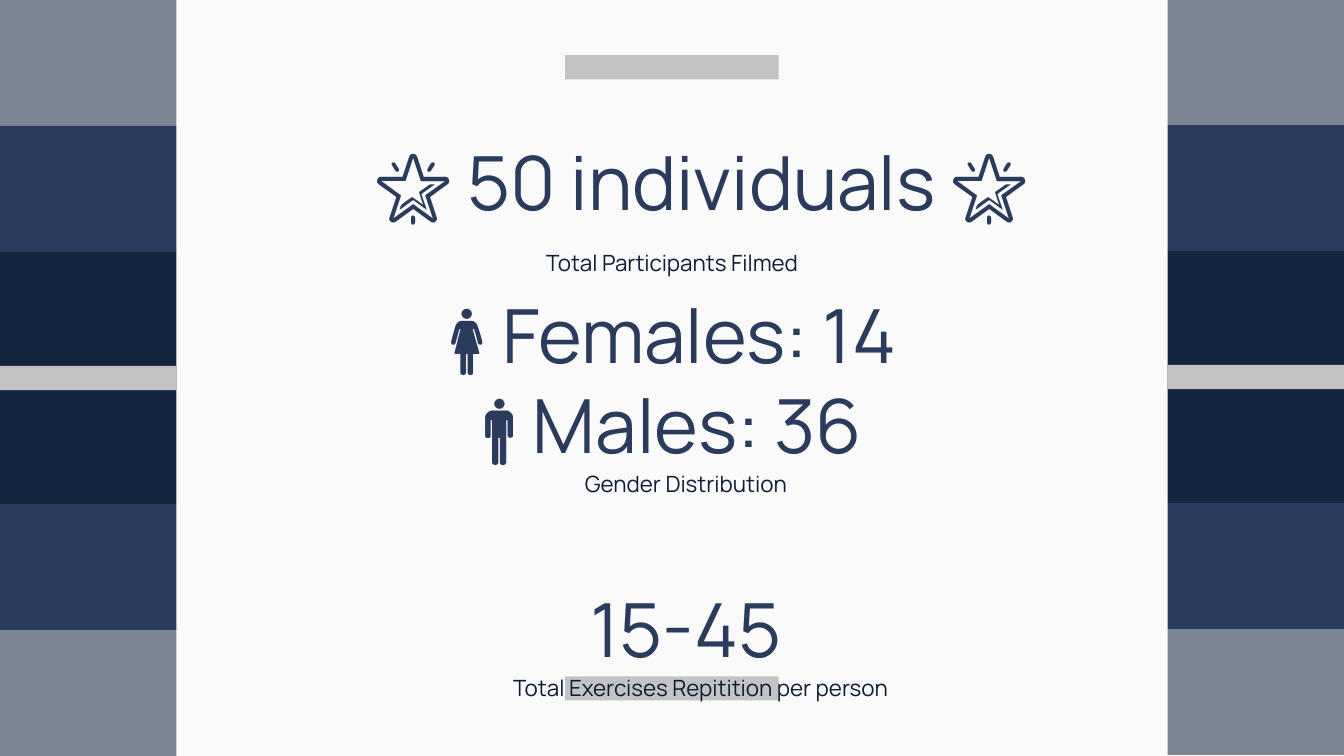
"""Build a slide of participant statistics framed by striped side panels."""
from pptx import Presentation
from pptx.dml.color import RGBColor
from pptx.enum.shapes import MSO_SHAPE
from pptx.enum.text import MSO_ANCHOR, PP_ALIGN
from pptx.util import Pt

COLORS = {"bg": "FAFAFA", "silver": "C3C3C3", "blue": "2B3B5D",
          "navy": "15253F", "slate": "7C8594", "ink": "0E1D35"}
WIDTH, HEIGHT = 720, 405
BANDS = ["slate", "blue", "navy", "navy", "blue", "slate"]
PANEL_W, BAR_W, BAR_H = 94.5, 114.4, 13
PANELS = [(0, 0), (WIDTH - PANEL_W, -0.5)]
BAR_TOPS = [29.6, 362.3]
FIGURES = [
    (["🚺 Females: 14", "🚹 Males: 36"], (206, 142, 308, 116)),
    (["🌟 50 individuals 🌟"], (145.4, 67.7, 460.8, 60.5)),
    (["15-45"], (266.4, 306.7, 202.3, 60.5)),
]
CAPTIONS = [
    (["Gender Distribution"], (266.4, 244.8, 202.3, 26)),
    (["Total Participants Filmed"], (259, 126, 202.3, 26)),
    (["Total Exercises Repitition per person"], (204.5, 354.2, 342, 26)),
]


def rgb(name):
    return RGBColor.from_string(COLORS[name])


def add_rect(shapes, color, x, y, w, h):
    sp = shapes.add_shape(MSO_SHAPE.RECTANGLE, Pt(x), Pt(y), Pt(w), Pt(h))
    sp.shadow.inherit = False
    sp.fill.solid()
    sp.fill.fore_color.rgb = rgb(color)
    sp.line.fill.background()


def add_text(shapes, lines, box, size, color, anchor):
    tf = shapes.add_textbox(*map(Pt, box)).text_frame
    tf.word_wrap = True
    tf.vertical_anchor = anchor
    tf.margin_left = tf.margin_right = tf.margin_top = tf.margin_bottom = Pt(7.2)
    for i, line in enumerate(lines):
        p = tf.add_paragraph() if i else tf.paragraphs[0]
        p.text = line
        p.alignment = PP_ALIGN.CENTER
        p.font.name = "Manrope"
        p.font.size = Pt(size)
        p.font.color.rgb = rgb(color)
        if len(lines) > 1:
            p.line_spacing = Pt(48.2)


def main():
    prs = Presentation()
    prs.slide_width, prs.slide_height = Pt(WIDTH), Pt(HEIGHT)
    s = prs.slides.add_slide(prs.slide_layouts[6])
    s.background.fill.solid()
    s.background.fill.fore_color.rgb = rgb("bg")

    for y in BAR_TOPS:
        add_rect(s.shapes, "silver", (WIDTH - BAR_W) / 2, y, BAR_W, BAR_H)
    for lines, box in FIGURES:
        add_text(s.shapes, lines, box, 40, "blue", MSO_ANCHOR.BOTTOM)
    for lines, box in CAPTIONS:
        add_text(s.shapes, lines, box, 12, "ink", MSO_ANCHOR.TOP)

    band_h = HEIGHT / len(BANDS)
    for x, top in PANELS:
        panel = s.shapes.add_group_shape().shapes
        for i, color in enumerate(BANDS):
            add_rect(panel, color, x, top + i * band_h, PANEL_W, band_h)
        add_rect(panel, "silver", x, top + (HEIGHT - BAR_H) / 2, PANEL_W, BAR_H)

    prs.save("out.pptx")


if __name__ == "__main__":
    main()
